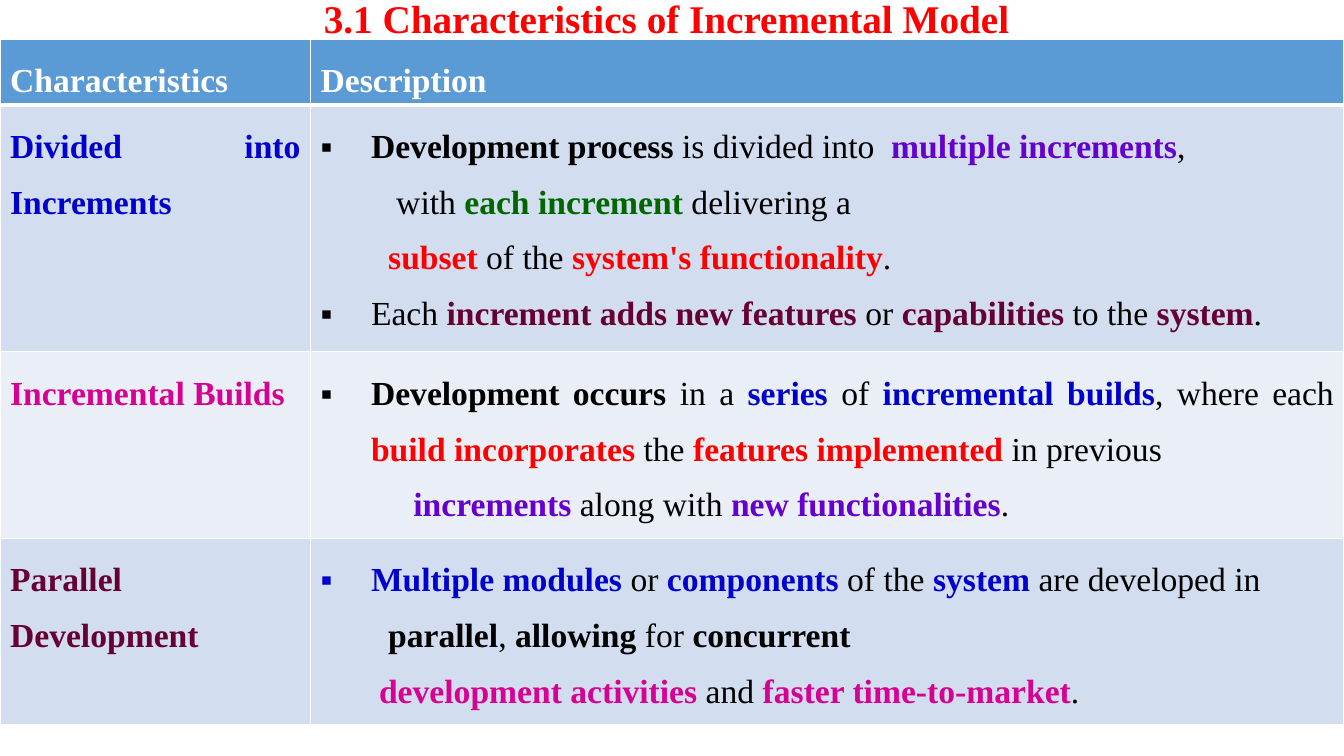
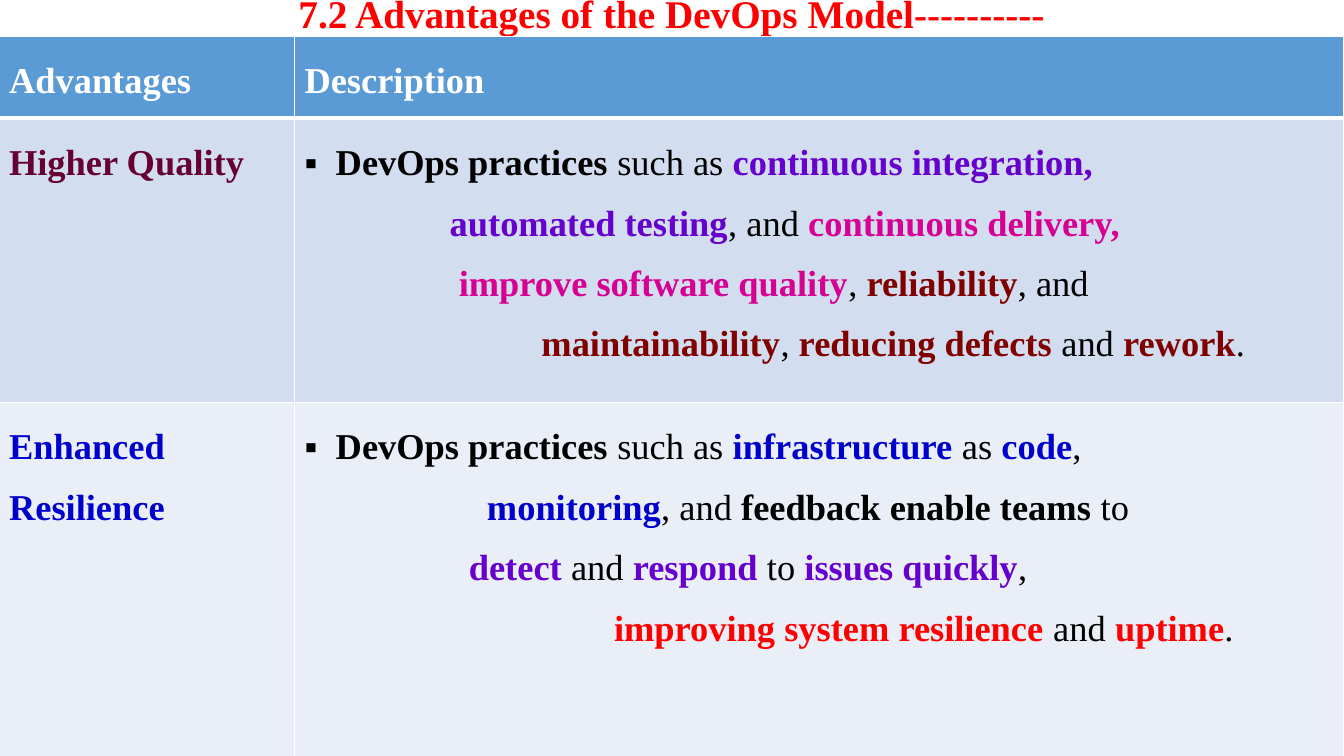
"""Build two slides that each hold a red title and a banded description table."""
from dataclasses import dataclass

from lxml import etree
from pptx import Presentation
from pptx import util as u
from pptx.dml.color import RGBColor
from pptx.enum import text
from pptx.oxml import ns


@dataclass(frozen=True)
class Theme:
    font: str = "Times New Roman"
    title_size: int = 28
    title: str = "FF0000"
    header: str = "5B9BD5"
    bands: tuple[str, str] = ("D2DEEF", "EAEFF7")
    white: str = "FFFFFF"
    black: str = "000000"
    blue: str = "0000CC"
    purple: str = "6600CC"
    green: str = "006600"
    red: str = "FF0000"
    plum: str = "660033"
    pink: str = "D60093"
    maroon: str = "800000"
    rule: int = 1
    header_rule: int = 3


T = Theme()


@dataclass(frozen=True)
class Strong:
    """Bold run in a colour; plain strings are regular black runs."""
    text: str
    color: str = T.black


Run = Strong | str


@dataclass(frozen=True)
class Line:
    """Paragraph with an indent in inches, hanging from a bullet if asked."""
    runs: tuple[Run, ...]
    indent: float = 0
    bullet: bool = False


@dataclass(frozen=True)
class Row:
    label: Strong
    lines: tuple[Line, ...]


@dataclass(frozen=True)
class TableSlide:
    title: str
    title_height: float
    left: float
    top: float
    height: float
    columns: tuple[float, float]
    row_heights: tuple[float, ...]
    bottom_margin: float
    size: int
    headings: tuple[str, str]
    rows: tuple[Row, ...]


def bullet(indent: float, *runs: Run) -> Line:
    """Return a bulleted line."""
    return Line(runs, indent, True)


def step(indent: float, *runs: Run) -> Line:
    """Return an indented continuation line."""
    return Line(runs, indent)


SLIDES = (
    TableSlide(
        "3.1 Characteristics of Incremental Model ", 0.42, 0, 0.39, 7,
        (3.08, 10.25), (0.47,) * 4, 0, 24,
        ("Characteristics", "Description"),
        (
            Row(Strong("Divided into Increments", T.blue), (
                bullet(0.5, Strong("Development process "), "is divided into ",
                       Strong(" multiple increments", T.purple), ","),
                step(0.75, "with ", Strong("each increment", T.green),
                     " delivering a"),
                step(0.67, Strong("subset", T.red), " of the ",
                     Strong("system's functionality", T.red), "."),
                bullet(0.5, "Each ",
                       Strong("increment adds new features", T.plum), " or ",
                       Strong("capabilities", T.plum), " to the ",
                       Strong("system", T.plum), "."),
            )),
            Row(Strong("Incremental Builds", T.pink), (
                bullet(0.5, Strong("Development occurs "), "in a ",
                       Strong("series", T.blue), " of ",
                       Strong("incremental builds", T.blue), ", where each ",
                       Strong("build incorporates", T.red), " the ",
                       Strong("features implemented", T.red), " in previous"),
                step(0.92, Strong("increments", T.purple), " along with ",
                     Strong("new functionalities", T.purple), "."),
            )),
            Row(Strong("Parallel Development", T.plum), (
                bullet(0.5, Strong("Multiple modules ", T.blue), "or ",
                       Strong("components", T.blue), " of the ",
                       Strong("system", T.blue), " are developed in"),
                step(0.67, Strong("parallel"), ", ", Strong("allowing"),
                     " for ", Strong("concurrent")),
                step(0.58, Strong("development activities", T.pink), " and ",
                     Strong("faster time-to-market", T.pink), "."),
            )),
        )),
    TableSlide(
        "7.2 Advantages of the DevOps Model----------", 0.32, -0.01, 0.36, 7.14,
        (2.93, 10.41), (0.81, 2.82, 3.52), 0.05, 26,
        ("Advantages", "Description"),
        (
            Row(Strong("Higher Quality", T.plum), (
                bullet(0.31, Strong("DevOps practices"), " such as ",
                       Strong("continuous integration,", T.purple)),
                step(1.44, Strong("automated testing", T.purple), ", and ",
                     Strong("continuous delivery,", T.pink)),
                step(1.53, Strong("improve software quality", T.pink), ", ",
                     Strong("reliability", T.maroon), ", and"),
                step(2.35, Strong("maintainability", T.maroon), ", ",
                     Strong("reducing defects", T.maroon), " and ",
                     Strong("rework", T.maroon), "."),
            )),
            Row(Strong("Enhanced Resilience", T.blue), (
                bullet(0.31, Strong("DevOps practices"), " such as ",
                       Strong("infrastructure", T.blue), " as ",
                       Strong("code", T.blue), ","),
                step(1.81, Strong("monitoring", T.blue), ", and ",
                     Strong("feedback enable teams"), " to"),
                step(1.63, Strong("detect", T.purple), " and ",
                     Strong("respond", T.purple), " to ",
                     Strong("issues quickly", T.purple), ","),
                step(3.07, Strong("improving system resilience", T.red),
                     " and ", Strong("uptime", T.red), "."),
            )),
        )),
)


def style_run(r, size: int, color: str, bold: bool) -> None:
    """Apply the shared font with a size, colour and weight."""
    r.font.name = T.font
    r.font.size = u.Pt(size)
    r.font.bold = bold
    r.font.color.rgb = RGBColor.from_string(color)


def add_title(s, title: str, height: float) -> None:
    """Add the centred title."""
    sp = s.shapes.add_textbox(u.Inches(0.91), 0, u.Inches(11.5), u.Inches(height))
    tf = sp.text_frame
    tf.word_wrap = True
    tf.vertical_anchor = text.MSO_ANCHOR.MIDDLE
    tf.text = title
    p = tf.paragraphs[0]
    p.alignment = text.PP_ALIGN.CENTER
    p.line_spacing = 0.9
    style_run(p.runs[0], T.title_size, T.title, True)


def set_indent(p, line: Line) -> None:
    """Set the left indent and, for bullets, the hanging mark."""
    pPr = p._p.get_or_add_pPr()
    pPr.set("marL", str(u.Inches(line.indent)))
    pPr.set("indent", str(-u.Inches(line.indent) if line.bullet else 0))
    if line.bullet:
        etree.SubElement(pPr, ns.qn("a:buFont")).set("typeface", T.font)
        etree.SubElement(pPr, ns.qn("a:buChar")).set("char", "▪")


def write_lines(cell, lines: tuple[Line, ...], size: int) -> None:
    """Write justified lines into a cell."""
    tf = cell.text_frame
    for i, line in enumerate(lines):
        p = tf.add_paragraph() if i else tf.paragraphs[0]
        p.alignment = text.PP_ALIGN.JUSTIFY
        p.line_spacing = 1.5
        set_indent(p, line)
        for run in line.runs:
            r = p.add_run()
            strong = isinstance(run, Strong)
            r.text = run.text if strong else run
            style_run(r, size, run.color if strong else T.black, strong)


def paint_cell(cell, row: int) -> None:
    """Fill a cell for its row and draw its white rules."""
    cell.fill.solid()
    color = T.bands[(row - 1) % 2] if row else T.header
    cell.fill.fore_color.rgb = RGBColor.from_string(color)
    tcPr = cell._tc.get_or_add_tcPr()
    widths = {
        "L": T.rule,
        "R": T.rule,
        "T": T.header_rule if row == 1 else T.rule,
        "B": T.header_rule if row == 0 else T.rule,
    }
    for i, (side, width) in enumerate(widths.items()):
        ln = etree.Element(ns.qn(f"a:ln{side}"), w=str(u.Pt(width)))
        fill = etree.SubElement(ln, ns.qn("a:solidFill"))
        etree.SubElement(fill, ns.qn("a:srgbClr")).set("val", T.white)
        tcPr.insert(i, ln)


def add_table(s, d: TableSlide) -> None:
    """Add the two-column table with its header row."""
    header = tuple((Line((Strong(h, T.white),)),) for h in d.headings)
    grid = (header, *(((Line((row.label,)),), row.lines) for row in d.rows))
    sp = s.shapes.add_table(
        len(grid), len(d.columns), u.Inches(d.left), u.Inches(d.top),
        u.Inches(sum(d.columns)), u.Inches(d.height))
    table = sp.table
    for column, width in zip(table.columns, d.columns):
        column.width = u.Inches(width)
    for i, (height, contents) in enumerate(zip(d.row_heights, grid)):
        table.rows[i].height = u.Inches(height)
        for j, lines in enumerate(contents):
            cell = table.cell(i, j)
            cell.margin_bottom = u.Inches(d.bottom_margin)
            write_lines(cell, lines, d.size)
            paint_cell(cell, i)
    sp.height = u.Inches(d.height)


def main() -> None:
    """Build and save the presentation."""
    prs = Presentation()
    prs.slide_width, prs.slide_height = u.Inches(13.33), u.Inches(7.5)
    for d in SLIDES:
        s = prs.slides.add_slide(prs.slide_layouts[6])
        add_title(s, d.title, d.title_height)
        add_table(s, d)
    prs.save("out.pptx")


if __name__ == "__main__":
    main()
